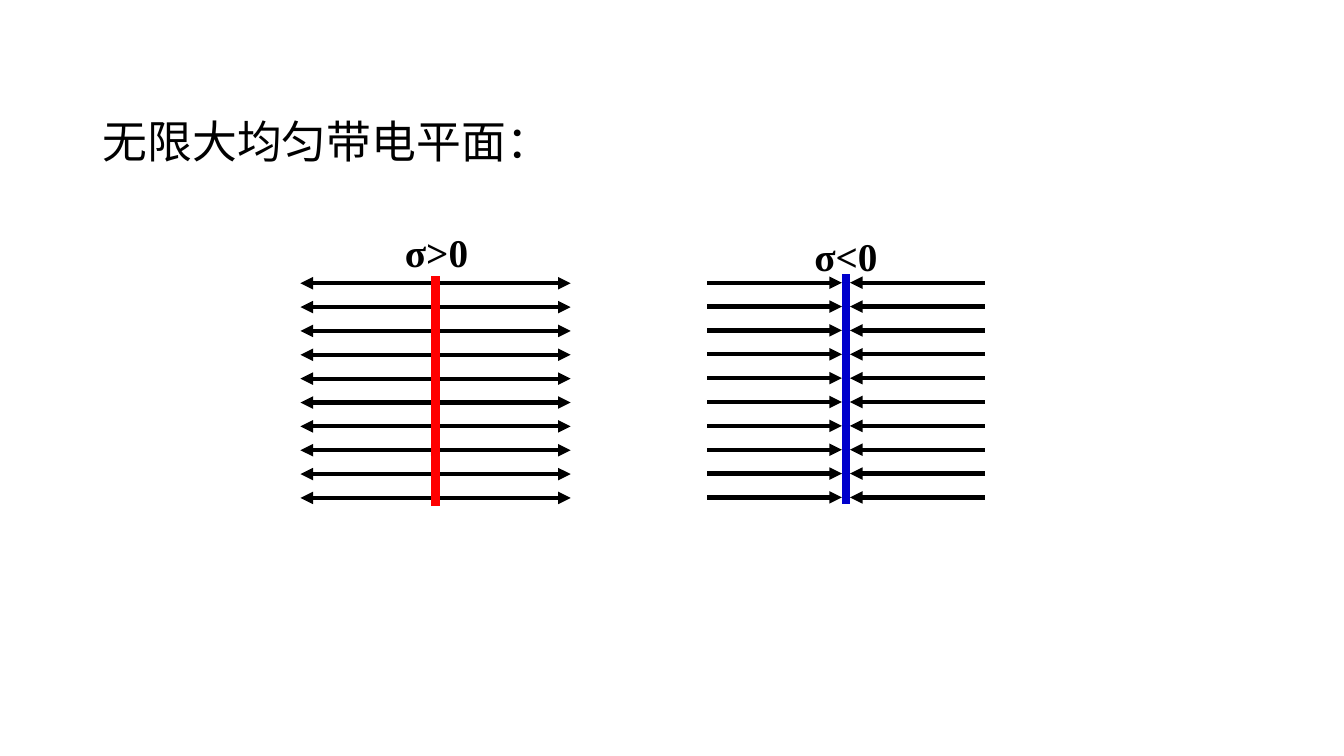
"""Build a slide of the field lines around infinite, uniformly charged planes."""
from lxml.etree import SubElement
from pptx import Presentation
from pptx.dml.color import RGBColor
from pptx.enum.shapes import MSO_CONNECTOR
from pptx.enum.text import MSO_ANCHOR, MSO_AUTO_SIZE, PP_ALIGN
from pptx.oxml.ns import qn
from pptx.util import Inches, Pt

BLACK = RGBColor(0x00, 0x00, 0x00)
RED = RGBColor(0xFF, 0x00, 0x00)
BLUE = RGBColor(0x00, 0x00, 0xCC)

FIELD_LINES = 10
FIELD_LENGTH = 1.34
FIELD_HEIGHT = 2.13
PLANE_HEIGHT = 2.28


def add_line(group, start, end, color, width, arrow_end=None):
    line = group.shapes.add_connector(
        MSO_CONNECTOR.STRAIGHT, *[Inches(value) for value in start + end])
    line.line.color.rgb = color
    line.line.width = Pt(width)
    properties = line._element.spPr
    if arrow_end:
        SubElement(properties.find(qn("a:ln")), qn(arrow_end), type="triangle")
    SubElement(properties, qn("a:effectLst"))


def write(box, text, font_name, size, bold):
    paragraph = box.text_frame.paragraphs[0]
    run = paragraph.add_run()
    run.text = text
    font = {"name": font_name, "size": Pt(size), "bold": bold}
    for attribute, value in font.items():
        setattr(run.font, attribute, value)
    run.font.color.rgb = BLACK
    SubElement(run._r.get_or_add_rPr(), qn("a:ea"), typeface=font_name)
    return paragraph


presentation = Presentation()
presentation.slide_width = Inches(13.33)
presentation.slide_height = Inches(7.5)
slide = presentation.slides.add_slide(presentation.slide_layouts[6])

title = slide.shapes.add_textbox(Inches(0.92), Inches(0.7), Inches(11.5), Inches(1.45))
title.text_frame.word_wrap = True
title.text_frame.vertical_anchor = MSO_ANCHOR.MIDDLE
write(title, "无限大均匀带电平面：", "Noto Sans CJK SC", 32, False).line_spacing = 0.9

planes = [
    {"label": "σ>0", "label_at": (3.91, 2.22), "x": 4.32, "top": 2.74,
     "first_line": 2.81, "gap": 0, "arrow_end": "a:tailEnd", "color": RED},
    {"label": "σ<0", "label_at": (7.97, 2.26), "x": 8.39, "top": 2.72,
     "first_line": 2.805, "gap": 0.04, "arrow_end": "a:headEnd", "color": BLUE},
]

for plane in planes:
    group = slide.shapes.add_group_shape()
    left, top = plane["label_at"]
    label = group.shapes.add_textbox(Inches(left), Inches(top), Inches(0.84), Inches(0.57))
    label.text_frame.word_wrap = False
    label.text_frame.auto_size = MSO_AUTO_SIZE.SHAPE_TO_FIT_TEXT
    write(label, plane["label"], "Times New Roman", 28, True).alignment = PP_ALIGN.CENTER

    x = plane["x"]
    for side in (1, -1):
        near = x + side * plane["gap"]
        far = near + side * FIELD_LENGTH
        for row in range(FIELD_LINES):
            y = plane["first_line"] + row * FIELD_HEIGHT / (FIELD_LINES - 1)
            add_line(group, (near, y), (far, y), BLACK, 3, plane["arrow_end"])
    add_line(group, (x, plane["top"]), (x, plane["top"] + PLANE_HEIGHT), plane["color"], 6)

presentation.save("out.pptx")
